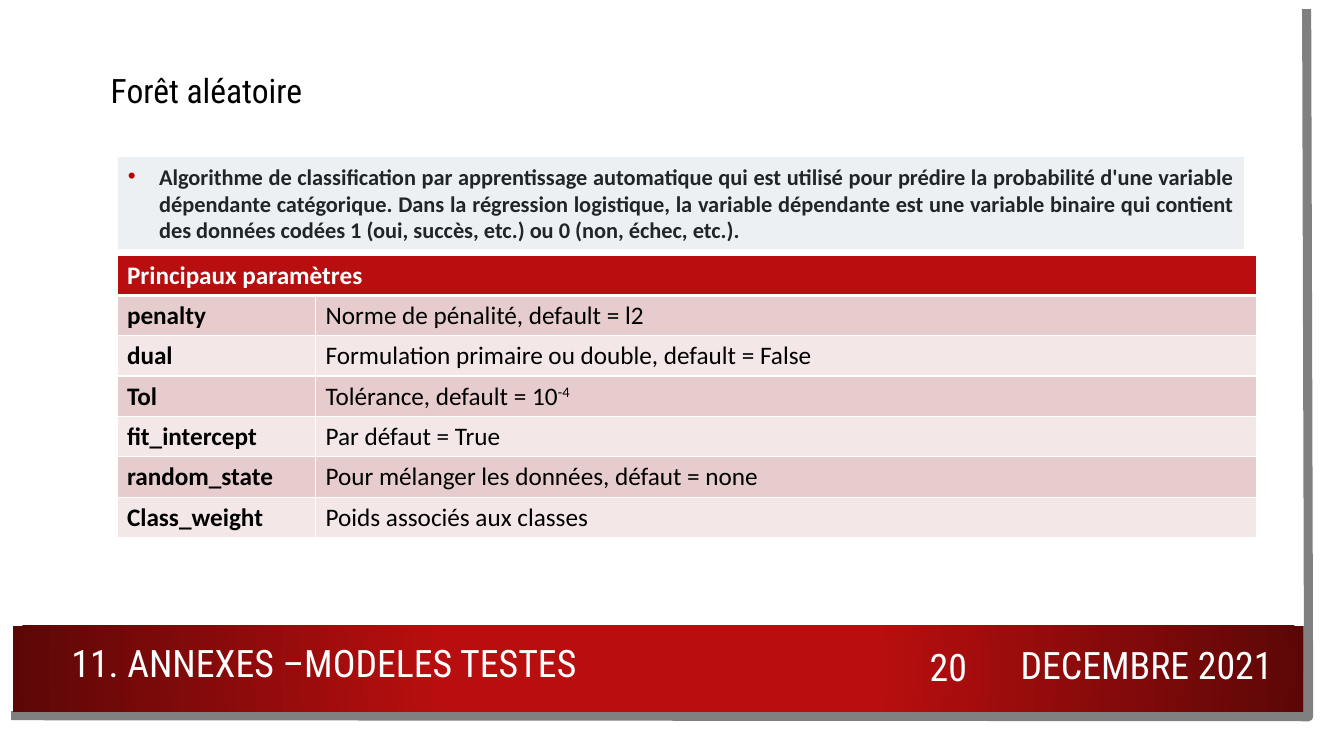
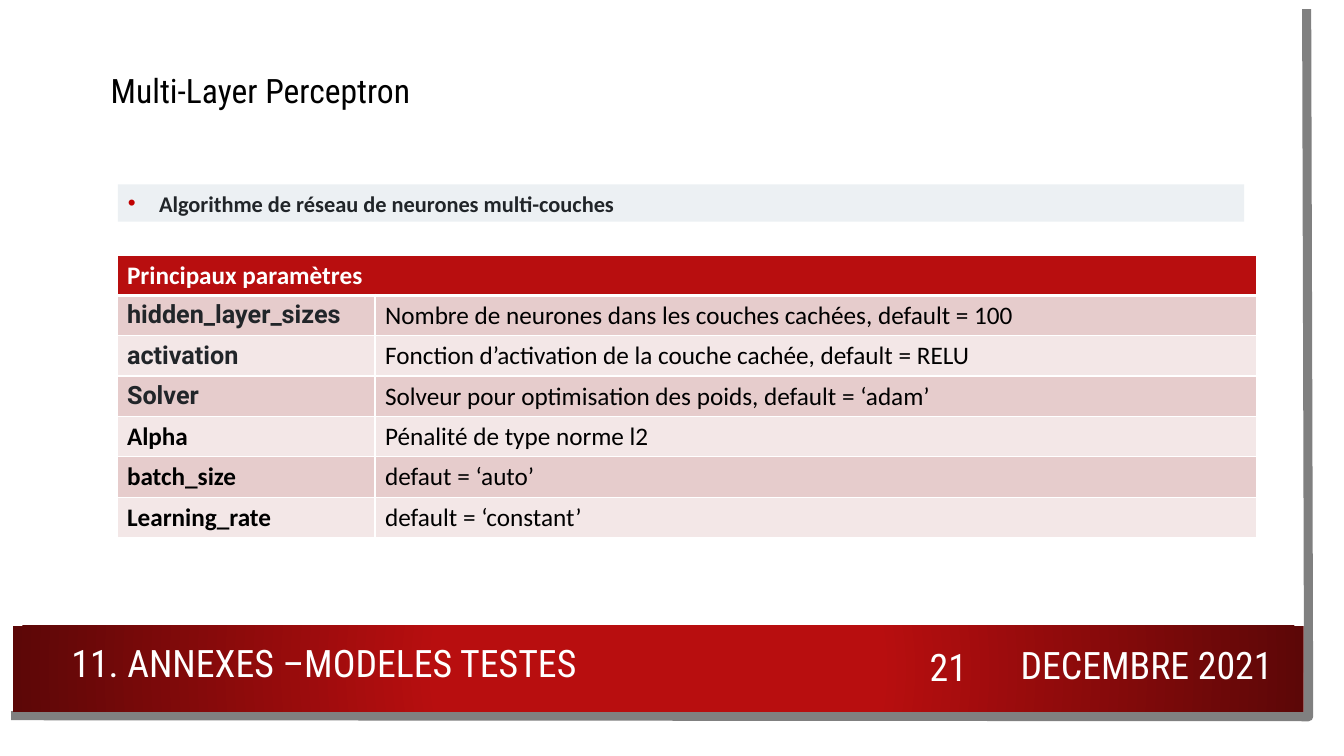
from dataclasses import dataclass

from lxml import etree
from pptx import Presentation
from pptx.dml.color import RGBColor
from pptx.enum.shapes import MSO_SHAPE
from pptx.enum.text import MSO_ANCHOR, PP_ALIGN
from pptx.oxml.ns import qn
from pptx.slide import Slide
from pptx.table import _Cell
from pptx.text.text import _Run
from pptx.util import Inches, Pt

RECT = MSO_SHAPE.RECTANGLE
MIDDLE, TOP = MSO_ANCHOR.MIDDLE, MSO_ANCHOR.TOP
LEFT, CENTER, RIGHT = PP_ALIGN.LEFT, PP_ALIGN.CENTER, PP_ALIGN.RIGHT
JUSTIFY = PP_ALIGN.JUSTIFY

WHITE = RGBColor(0xFF, 0xFF, 0xFF)
BLACK = RGBColor(0x00, 0x00, 0x00)
INK = RGBColor(0x21, 0x25, 0x29)
GRAY = RGBColor(0x80, 0x80, 0x80)
PALE = RGBColor(0xEC, 0xF0, 0xF3)
RED = RGBColor(0xB8, 0x0E, 0x0F)
DARK = RGBColor(0x5C, 0x07, 0x07)
BULLET = RGBColor(0xC0, 0x00, 0x00)
ROWS = (RGBColor(0xE6, 0xCC, 0xCC), RGBColor(0xF3, 0xE7, 0xE7))

HEAD_FONT, BODY_FONT, CODE_FONT = "Roboto Condensed", "Calibri", "Roboto"
SECTION, DATE = "11. ANNEXES –MODELES TESTES", "DECEMBRE 2021"
HEADER = "Principaux paramètres"
WIDE, ROW_H = 11.3, 0.4


@dataclass
class Label:
    text: str
    box: tuple[float, float, float, float]
    size: float = 27
    color: RGBColor = WHITE
    align: PP_ALIGN = LEFT
    anchor: MSO_ANCHOR = MIDDLE
    lead: float = 0.9


@dataclass
class Param:
    name: str
    text: str
    power: str = ""
    font: str = BODY_FONT
    color: RGBColor = BLACK


@dataclass
class Model:
    page: int
    title: str
    about: str
    top: float
    high: float
    name_w: float
    params: list[Param]


MODELS = [
    Model(
        20, "Forêt aléatoire",
        "Algorithme de classification par apprentissage automatique qui est "
        "utilisé pour prédire la probabilité d'une variable dépendante "
        "catégorique. Dans la régression logistique, la variable dépendante "
        "est une variable binaire qui contient des données codées 1 (oui, "
        "succès, etc.) ou 0 (non, échec, etc.).",
        1.56, 0.91, 1.97,
        [
            Param("penalty", "Norme de pénalité, default = l2"),
            Param("dual", "Formulation primaire ou double, default = False"),
            Param("Tol", "Tolérance, default = 10", "-4"),
            Param("fit_intercept", "Par défaut = True"),
            Param("random_state", "Pour mélanger les données, défaut = none"),
            Param("Class_weight", "Poids associés aux classes"),
        ],
    ),
    Model(
        21, "Multi-Layer Perceptron",
        "Algorithme de réseau de neurones multi-couches",
        1.83, 0.37, 2.56,
        [
            Param("hidden_layer_sizes",
                  "Nombre de neurones dans les couches cachées, default = 100",
                  font=CODE_FONT, color=INK),
            Param("activation",
                  "Fonction d’activation de la couche cachée, default = RELU",
                  font=CODE_FONT, color=INK),
            Param("Solver",
                  "Solveur pour optimisation des poids, default = ‘adam’",
                  font=CODE_FONT, color=INK),
            Param("Alpha", "Pénalité de type norme l2"),
            Param("batch_size", "defaut = ‘auto’"),
            Param("Learning_rate", "default = ‘constant’"),
        ],
    ),
]


def style(run: _Run, font: str, size: float, color: RGBColor,
          bold: bool = False) -> None:
    run.font.name, run.font.size, run.font.bold = font, Pt(size), bold
    run.font.color.rgb = color


def add_label(slide: Slide, label: Label) -> None:
    frame = slide.shapes.add_textbox(*map(Inches, label.box)).text_frame
    frame.word_wrap = True
    frame.vertical_anchor = label.anchor
    para = frame.paragraphs[0]
    para.text = label.text
    para.alignment, para.line_spacing = label.align, label.lead
    style(para.runs[0], HEAD_FONT, label.size, label.color)


def add_frame(slide: Slide, page: int) -> None:
    # Gray edge along the right and bottom
    pen = slide.shapes.build_freeform(Inches(12.96), Inches(0.09))
    pen.add_line_segments([(Inches(12.98), Inches(7.11)),
                           (Inches(0.11), Inches(7.1))], close=False)
    edge = pen.convert_to_shape()
    edge.shadow.inherit = False
    edge.fill.background()
    edge.line.color.rgb, edge.line.width = GRAY, Pt(6.5)

    # Red band with a round gradient
    band = slide.shapes.add_shape(
        RECT, Inches(0.13), Inches(6.21), Inches(12.8), Inches(0.85))
    band.shadow.inherit = False
    band.line.fill.background()
    band.fill.gradient()
    for stop, place, color in zip(band.fill.gradient_stops,
                                  (0.34, 1), (RED, DARK)):
        stop.position, stop.color.rgb = place, color
    grad = band._element.spPr.find(qn("a:gradFill"))
    grad.remove(grad.find(qn("a:lin")))
    round_ = etree.SubElement(grad, qn("a:path"), {"path": "circle"})
    etree.SubElement(round_, qn("a:fillToRect"), dict.fromkeys("ltrb", "50000"))

    # Footer texts
    add_label(slide, Label(str(page), (8.91, 6.36, 0.99, 0.55), align=CENTER))
    add_label(slide, Label(SECTION, (0.61, 6.29, 6.9, 0.62)))
    add_label(slide, Label(DATE, (9.78, 6.32, 2.94, 0.55), align=RIGHT, lead=1))


def add_about(slide: Slide, model: Model) -> None:
    box = slide.shapes.add_shape(
        RECT, Inches(1.17), Inches(model.top), Inches(11.17), Inches(model.high))
    box.shadow.inherit = False
    box.fill.solid()
    box.fill.fore_color.rgb = PALE
    box.line.fill.background()
    frame = box.text_frame
    frame.word_wrap, frame.vertical_anchor = True, MIDDLE
    para = frame.paragraphs[0]
    para.text = model.about
    para.alignment, para.space_after = JUSTIFY, Pt(6)
    style(para.runs[0], BODY_FONT, 16, INK, True)

    # Red bullet with a hanging indent
    props = para._p.get_or_add_pPr()
    props.set("marL", str(Inches(0.31)))
    props.set("indent", str(-Inches(0.31)))
    tint = etree.SubElement(props, qn("a:buClr"))
    etree.SubElement(tint, qn("a:srgbClr"), {"val": str(BULLET)})
    etree.SubElement(props, qn("a:buFont"), {"typeface": "Arial"})
    etree.SubElement(props, qn("a:buChar"), {"char": "•"})


def paint(cell: _Cell, color: RGBColor, top: float = 1, low: float = 1) -> None:
    cell.fill.solid()
    cell.fill.fore_color.rgb = color
    props = cell._tc.get_or_add_tcPr()
    for spot, (side, width) in enumerate(
            (("L", 1), ("R", 1), ("T", top), ("B", low))):
        line = etree.Element(qn(f"a:ln{side}"), {"w": str(Pt(width))})
        solid = etree.SubElement(line, qn("a:solidFill"))
        etree.SubElement(solid, qn("a:srgbClr"), {"val": str(WHITE)})
        props.insert(spot, line)


def write(cell: _Cell, text: str, font: str, color: RGBColor,
          bold: bool) -> None:
    cell.text_frame.text = text
    style(cell.text_frame.paragraphs[0].runs[0], font, 18, color, bold)


def add_params(slide: Slide, model: Model) -> None:
    count = len(model.params) + 1
    table = slide.shapes.add_table(
        count, 2, Inches(1.16), Inches(2.53),
        Inches(WIDE), Inches(ROW_H * count)).table
    for col, width in zip(table.columns, (model.name_w, WIDE - model.name_w)):
        col.width = Inches(width)

    # Header across both columns
    head = table.cell(0, 0)
    head.merge(table.cell(0, 1))
    write(head, HEADER, BODY_FONT, WHITE, True)
    for col in range(2):
        paint(table.cell(0, col), RED, low=3)

    # One row for each setting
    for row, param in enumerate(model.params, 1):
        name, note = table.cell(row, 0), table.cell(row, 1)
        write(name, param.name, param.font, param.color, True)
        write(note, param.text, BODY_FONT, BLACK, False)
        if param.power:
            run = note.text_frame.paragraphs[0].add_run()
            run.text = param.power
            style(run, BODY_FONT, 18, BLACK)
            run._r.get_or_add_rPr().set("baseline", "30000")
        for cell in (name, note):
            paint(cell, ROWS[(row - 1) % 2], top=3 if row == 1 else 1)


def main() -> None:
    deck = Presentation()
    deck.slide_width, deck.slide_height = Inches(13.33), Inches(7.5)
    for model in MODELS:
        slide = deck.slides.add_slide(deck.slide_layouts[6])
        add_frame(slide, model.page)
        add_label(slide, Label(model.title, (1, 0.64, 9.07, 0.5), 24, BLACK,
                               anchor=TOP, lead=1))
        add_about(slide, model)
        add_params(slide, model)
    deck.save("out.pptx")


if __name__ == "__main__":
    main()
